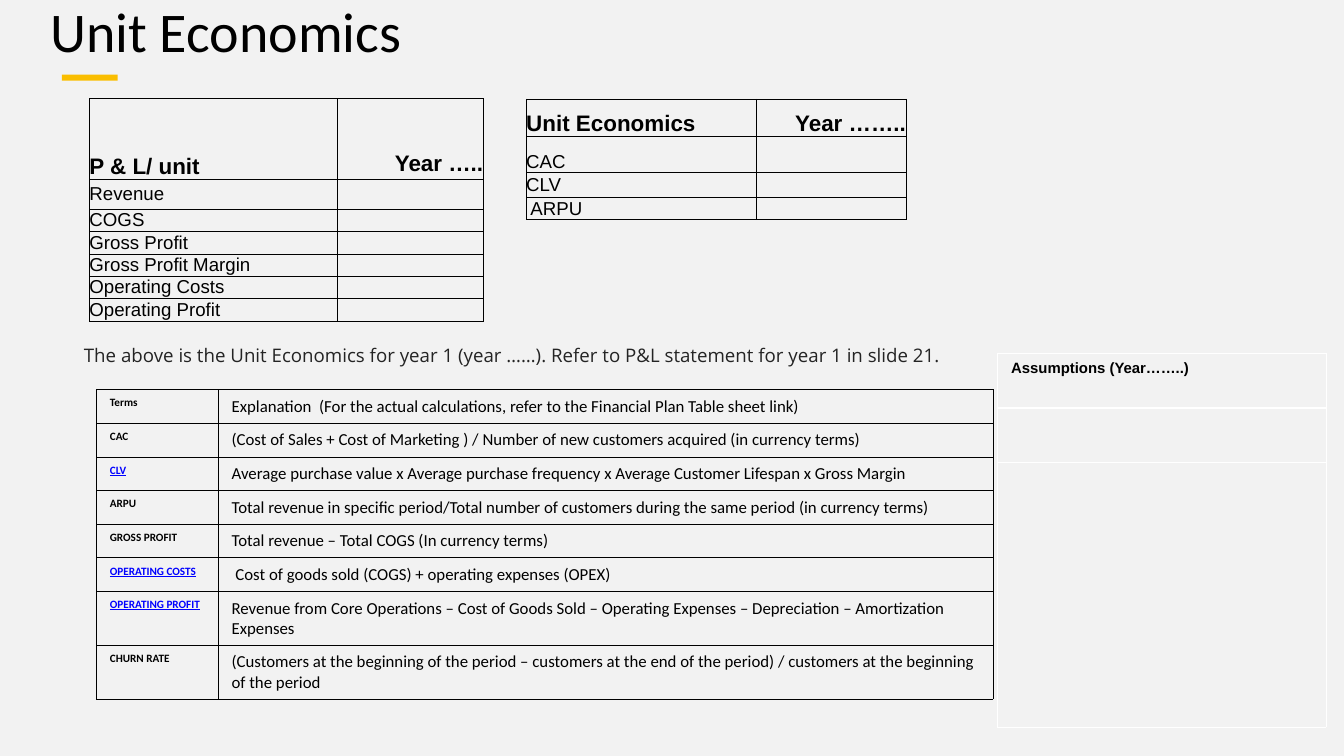
from pptx import Presentation
from pptx.dml.color import RGBColor
from pptx.enum.shapes import MSO_SHAPE
from pptx.enum.text import MSO_ANCHOR, MSO_AUTO_SIZE, PP_ALIGN
from pptx.oxml.xmlchemy import OxmlElement
from pptx.util import Pt

TOP, MIDDLE, BOTTOM = MSO_ANCHOR.TOP, MSO_ANCHOR.MIDDLE, MSO_ANCHOR.BOTTOM
LEFT, RIGHT, JUSTIFY = PP_ALIGN.LEFT, PP_ALIGN.RIGHT, PP_ALIGN.JUSTIFY
RECT, NO_FIT = MSO_SHAPE.RECTANGLE, MSO_AUTO_SIZE.NONE
BLACK, WHITE, LINK = "000000", "FFFFFF", "0000FF"
TIGHT, ROOMY = (0, 0, 0, 0), (14.4, 7.2, 14.4, 7.2)

TITLE = "Unit Economics"
NOTE = ("The above is the Unit Economics for year 1 (year ……). "
        "Refer to P&L statement for year 1 in slide 21.")
PROFIT_HEAD = ("P & L/ unit", "Year …..")
PROFIT_ITEMS = ["Revenue", "COGS", "Gross Profit", "Gross Profit Margin",
                "Operating Costs", "Operating Profit"]
UNIT_HEAD = ("Unit Economics", "Year ……..")
UNIT_ITEMS = [("CAC", BOTTOM), ("CLV", MIDDLE), (" ARPU", BOTTOM)]
ASSUMPTIONS = "Assumptions (Year……..)"
TERMS = [
    ("Terms", "Explanation  (For the actual calculations, refer to the Financial Plan Table sheet link)"),
    ("CAC", "(Cost of Sales + Cost of Marketing ) / Number of new customers acquired (in currency terms)"),
    ("CLV", "Average purchase value x Average purchase frequency x Average Customer Lifespan x Gross Margin"),
    ("ARPU", "Total revenue in specific period/Total number of customers during the same period (in currency terms)"),
    ("GROSS PROFIT", "Total revenue – Total COGS (In currency terms)"),
    ("OPERATING COSTS", " Cost of goods sold (COGS) + operating expenses (OPEX)"),
    ("OPERATING PROFIT", "Revenue from Core Operations – Cost of Goods Sold – Operating Expenses – "
     "Depreciation – Amortization Expenses"),
    ("CHURN RATE", "(Customers at the beginning of the period – customers at the end of the period) / "
     "customers at the beginning of the period"),
]
LINKED = {"CLV", "OPERATING COSTS", "OPERATING PROFIT"}


def rgb(value):
    """Turn a hex string into a colour."""
    return RGBColor.from_string(value)


def write(tf, text, size, font, color=BLACK, bold=False, underline=False, align=LEFT):
    """Add one formatted run to the first paragraph."""
    p = tf.paragraphs[0]
    p.alignment = align
    r = p.add_run()
    r.text = text
    f = r.font
    f.name, f.size, f.bold, f.underline = font, Pt(size), bold, underline
    f.color.rgb = rgb(color)


def set_borders(cell, color, widths):
    """Draw the left, right, top and bottom borders of a cell."""
    tcPr = cell._tc.get_or_add_tcPr()
    for i, (side, width) in enumerate(zip("LRTB", widths)):
        ln = OxmlElement(f"a:ln{side}")
        ln.set("w", str(Pt(width)))
        fill = OxmlElement("a:solidFill")
        clr = OxmlElement("a:srgbClr")
        clr.set("val", color)
        fill.append(clr)
        ln.append(fill)
        tcPr.insert(i, ln)


def set_cell(cell, text="", insets=TIGHT, anchor=MIDDLE, **style):
    """Set the margins, anchor and text of a cell."""
    cell.margin_left, cell.margin_top, cell.margin_right, cell.margin_bottom = map(Pt, insets)
    cell.vertical_anchor = anchor
    if text:
        write(cell.text_frame, text, **style)


def add_grid(s, x, y, cols, rows, color=BLACK, inner=0.5, outer=0.5):
    """Add an unfilled, ruled table."""
    shape = s.shapes.add_table(len(rows), len(cols), Pt(x), Pt(y), Pt(sum(cols)), Pt(sum(rows)))
    table = shape.table
    table.first_row = table.horz_banding = False
    for col, width in zip(table.columns, cols):
        col.width = Pt(width)
    for i, height in enumerate(rows):
        table.rows[i].height = Pt(height)
        for j in range(len(cols)):
            cell = table.cell(i, j)
            cell.fill.background()
            edges = (j == 0, j == len(cols) - 1, i == 0, i == len(rows) - 1)
            set_borders(cell, color, [outer if edge else inner for edge in edges])
            set_cell(cell)
    return table


def main():
    """Build the unit economics slide."""
    prs = Presentation()
    prs.slide_width, prs.slide_height = Pt(1440), Pt(810)
    s = prs.slides.add_slide(prs.slide_layouts[5])
    s.background.fill.solid()
    s.background.fill.fore_color.rgb = rgb("F2F2F2")

    title = s.shapes.title
    title.left, title.top, title.width, title.height = Pt(46.8), Pt(3.6), Pt(1205.3), Pt(57.6)
    tf = title.text_frame
    tf.auto_size, tf.vertical_anchor = NO_FIT, MIDDLE
    write(tf, TITLE, 60, "Calibri")

    bar = s.shapes.add_shape(RECT, Pt(66.2), Pt(79.9), Pt(59.8), Pt(6.5))
    bar.shadow.inherit = False
    bar.fill.solid()
    bar.fill.fore_color.rgb = rgb("FABE00")
    bar.line.fill.background()

    head = dict(size=24, font="Arial", bold=True)
    item = dict(size=20, font="Arial")

    profit = add_grid(s, 95.8, 105.8, [265.7, 156.2], [86.4, 31.9] + [24] * 5, outer=1)
    set_cell(profit.cell(0, 0), PROFIT_HEAD[0], anchor=BOTTOM, **head)
    set_cell(profit.cell(0, 1), PROFIT_HEAD[1], (0, 0, 0, 3), BOTTOM, align=RIGHT, **head)
    for i, name in enumerate(PROFIT_ITEMS, 1):
        set_cell(profit.cell(i, 0), name, **item)

    unit = add_grid(s, 563.8, 106.2, [246.6, 160.2], [39.6, 38.9, 27.1, 23.5])
    for j, (name, align) in enumerate(zip(UNIT_HEAD, (LEFT, RIGHT))):
        set_cell(unit.cell(0, j), name, anchor=BOTTOM, align=align, **head)
    for i, (name, anchor) in enumerate(UNIT_ITEMS, 1):
        set_cell(unit.cell(i, 0), name, anchor=anchor, **item)

    tf = s.shapes.add_textbox(Pt(82.8), Pt(364.8), Pt(1239.8), Pt(31.7)).text_frame
    tf.word_wrap = True
    write(tf, NOTE, 20, "Open Sans", "242424")

    terms = add_grid(s, 103.3, 417.4, [130.5, 830], [36] * 6 + [57.6] * 2)
    for i, (term, meaning) in enumerate(TERMS):
        linked = term in LINKED
        set_cell(terms.cell(i, 0), term, ROOMY, TOP, size=12, font="Calibri", bold=True,
                 color=LINK if linked else BLACK, underline=linked)
        set_cell(terms.cell(i, 1), meaning, ROOMY, TOP, size=18, font="Calibri")

    notes = add_grid(s, 1069, 378.7, [351.7], [58.5, 58.5, 283.3], WHITE, 1, 1)
    set_cell(notes.cell(0, 0), ASSUMPTIONS, ROOMY, TOP, size=16, font="Arial", bold=True, align=JUSTIFY)
    notes.cell(0, 0)._tc.tcPr[3].set("w", str(Pt(3)))

    prs.save("out.pptx")


if __name__ == "__main__":
    main()
